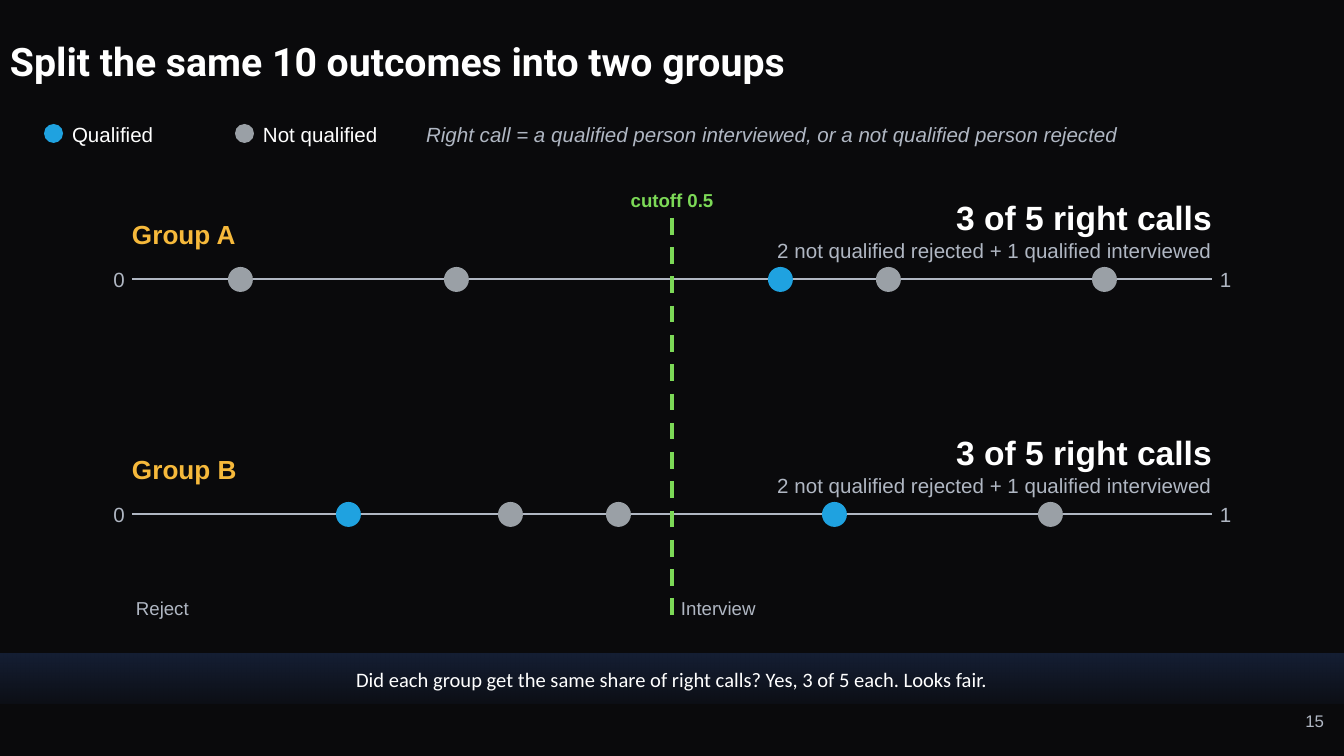
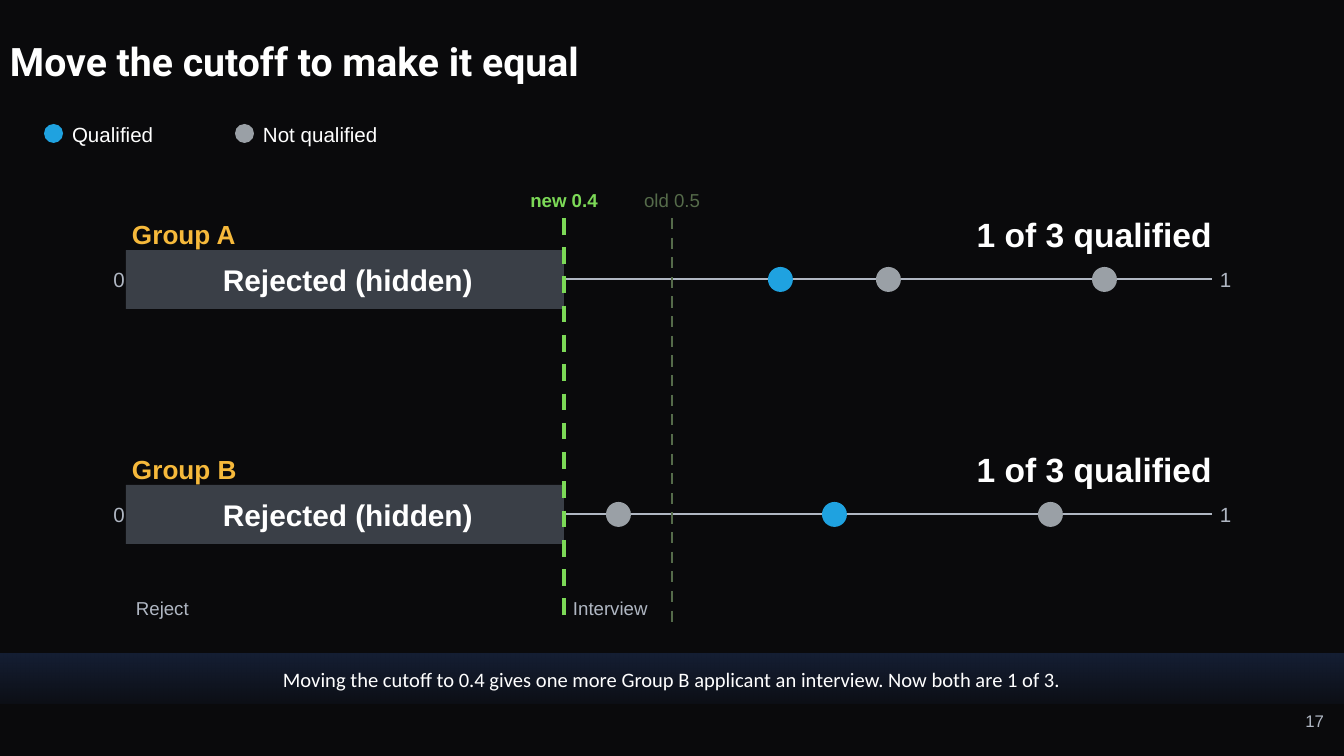
import dataclasses

import pptx
import pptx.dml.color
import pptx.enum.dml
import pptx.enum.shapes
import pptx.enum.text
import pptx.oxml.ns
import pptx.util
from lxml import etree

SLIDE_W, SLIDE_H = 1344, 756
EMU_PER_PX = 9144000 / SLIDE_W

ALIGN = pptx.enum.text.PP_ALIGN
ANCHOR = pptx.enum.text.MSO_ANCHOR
SHAPE = pptx.enum.shapes.MSO_SHAPE


@dataclasses.dataclass(frozen=True)
class Theme:
    background: str = "0A0A0C"
    white: str = "FFFFFF"
    muted: str = "B0B7C3"
    qualified: str = "1FA2E0"
    unqualified: str = "9AA0A6"
    group: str = "F6B93B"
    cutoff: str = "7CD957"
    old_cutoff: str = "556B4A"
    cover: str = "3A3F47"
    band: str = "1A2846"
    title_font: str = "Roboto"
    body_font: str = "Arial"
    band_font: str = "Calibri"
    title_size: int = 21
    score_size: int = 18
    cover_size: int = 16
    group_size: int = 14
    body_size: int = 11
    label_size: int = 10
    page_size: int = 9


THEME = Theme()

AXIS_LEFT, AXIS_LENGTH = 132, 1080
AXIS_RIGHT = AXIS_LEFT + AXIS_LENGTH
CUTOFF_TOP, CUTOFF_BOTTOM = 218, 625
LEGEND_Y = 121

GROUPS = [
    ("Group A", 279, {0.1: False, 0.3: False, 0.6: True, 0.7: False, 0.9: False}),
    ("Group B", 514, {0.2: True, 0.35: False, 0.45: False, 0.65: True, 0.85: False}),
]


def px(length):
    return pptx.util.Emu(round(length * EMU_PER_PX))


def box(*lengths):
    return [px(length) for length in lengths]


def rgb(color):
    return pptx.dml.color.RGBColor.from_string(color)


def axis_x(value):
    return round(AXIS_LEFT + AXIS_LENGTH * value)


def set_values(target, values):
    for name, value in values.items():
        setattr(target, name, value)


def write(holder, words, size, color=THEME.white, font=THEME.body_font,
          align=ALIGN.LEFT, anchor=ANCHOR.MIDDLE, margins=(0, 0), **style):
    frame = holder.text_frame
    side, top = box(*margins)
    set_values(frame, {
        "word_wrap": True, "auto_size": pptx.enum.text.MSO_AUTO_SIZE.NONE,
        "vertical_anchor": anchor, "margin_left": side, "margin_right": side,
        "margin_top": top, "margin_bottom": top,
    })
    paragraph = frame.paragraphs[0]
    paragraph.alignment = align
    run = paragraph.add_run()
    run.text = words
    set_values(run.font, {"name": font, "size": pptx.util.Pt(size), **style})
    run.font.color.rgb = rgb(color)
    return paragraph


def add_label(slide, place, words, size, **style):
    write(slide.shapes.add_textbox(*box(*place)), words, size, **style)


def add_plain_shape(slide, preset, place, color):
    shape = slide.shapes.add_shape(preset, *box(*place))
    shape.shadow.inherit = False
    shape.fill.solid()
    shape.fill.fore_color.rgb = rgb(color)
    shape.line.fill.background()
    return shape


def add_dot(slide, left, top, diameter, qualified):
    color = THEME.qualified if qualified else THEME.unqualified
    add_plain_shape(slide, SHAPE.OVAL, (left, top, diameter, diameter), color)


def add_line(slide, start, end, color, width, dash=None):
    line = slide.shapes.add_connector(
        pptx.enum.shapes.MSO_CONNECTOR.STRAIGHT, *box(*start, *end))
    line.line.color.rgb = rgb(color)
    set_values(line.line, {"width": pptx.util.Pt(width), "dash_style": dash})
    etree.SubElement(line._element.spPr, pptx.oxml.ns.qn("a:effectLst"))


def add_title(slide, words):
    title = slide.shapes.title
    set_values(title, dict(zip(("left", "top", "width", "height"),
                               box(0, 20, 1328, 87))))
    paragraph = write(title, words, THEME.title_size, font=THEME.title_font,
                      margins=(10, 5), bold=True)
    paragraph.line_spacing = 0.9


def add_takeaway(slide, words):
    band = add_plain_shape(slide, SHAPE.RECTANGLE, (0, 654, SLIDE_W, 50), THEME.band)
    band.fill.gradient()
    band.fill.gradient_angle = 270
    for stop, opacity in zip(band.fill.gradient_stops, (70, 15)):
        stop.color.rgb = rgb(THEME.band)
    colors = band._element.spPr.iter(pptx.oxml.ns.qn("a:srgbClr"))
    for color, opacity in zip(colors, (70, 15)):
        alpha = etree.SubElement(color, pptx.oxml.ns.qn("a:alpha"))
        alpha.set("val", str(opacity * 1000))
    write(band, words, THEME.body_size, font=THEME.band_font,
          align=ALIGN.CENTER, margins=(13, 13))


def add_legend(slide):
    for index, (words, qualified) in enumerate(
            [("Qualified", True), ("Not qualified", False)]):
        left = 44 + 191 * index
        add_dot(slide, left, 124, 19, qualified)
        add_label(slide, (left + 28, LEGEND_Y, 146, 27), words, THEME.body_size)


def add_decisions(slide, cutoff):
    for words, left in [("Interview", axis_x(cutoff) + 9), ("Reject", 136)]:
        add_label(slide, (left, 595, 146, 26), words, THEME.label_size,
                  color=THEME.muted)


def add_axis(slide, y, outcomes):
    add_line(slide, (AXIS_LEFT, y), (AXIS_RIGHT, y), THEME.muted, 1.25)
    for words, left, align in [("0", AXIS_LEFT - 29, ALIGN.RIGHT),
                               ("1", AXIS_RIGHT + 8, ALIGN.LEFT)]:
        add_label(slide, (left, y - 13, 22, 27), words, THEME.body_size,
                  color=THEME.muted, align=align)
    for value, qualified in outcomes.items():
        add_dot(slide, axis_x(value) - 12, y - 12, 25, qualified)


def add_cover(slide, y, cutoff):
    right, top, height = axis_x(cutoff), y - 29, 59
    left = AXIS_LEFT - 6
    add_plain_shape(slide, SHAPE.RECTANGLE, (left, top, right - left, height),
                    THEME.cover)
    add_label(slide, (AXIS_LEFT, top, right - AXIS_LEFT, height),
              "Rejected (hidden)", THEME.cover_size, align=ALIGN.CENTER, bold=True)


def add_score(slide, name, y, score, rise):
    add_label(slide, (AXIS_LEFT, y - 61, 220, 32), name, THEME.group_size,
              color=THEME.group, bold=True)
    add_label(slide, (AXIS_RIGHT - 470, y - rise, 470, 38), score,
              THEME.score_size, align=ALIGN.RIGHT, bold=True)


def add_cutoff(slide, value, words, color, width, bold):
    x = axis_x(value)
    add_line(slide, (x, CUTOFF_TOP), (x, CUTOFF_BOTTOM), color, width,
             pptx.enum.dml.MSO_LINE.DASH)
    add_label(slide, (x - 52, 185, 104, 30), words, THEME.label_size,
              color=color, align=ALIGN.CENTER, bold=bold)


def add_page_number(slide, number):
    add_label(slide, (1250, 711, 74, 32), str(number), THEME.page_size,
              color=THEME.muted, align=ALIGN.RIGHT, anchor=ANCHOR.TOP)


def start_slide(deck, title, takeaway, cutoff):
    slide = deck.slides.add_slide(deck.slide_layouts[5])
    add_title(slide, title)
    add_takeaway(slide, takeaway)
    add_legend(slide)
    add_decisions(slide, cutoff)
    return slide


def build_split(deck):
    cutoff = 0.5
    slide = start_slide(
        deck, "Split the same 10 outcomes into two groups",
        "Did each group get the same share of right calls? "
        "Yes, 3 of 5 each. Looks fair.", cutoff)
    add_label(slide, (426, LEGEND_Y, 867, 27),
              "Right call = a qualified person interviewed, "
              "or a not qualified person rejected",
              THEME.body_size, color=THEME.muted, italic=True)
    for name, y, outcomes in GROUPS:
        add_axis(slide, y, outcomes)
        add_score(slide, name, y, "3 of 5 right calls", 81)
        add_label(slide, (AXIS_RIGHT - 617, y - 42, 617, 26),
                  "2 not qualified rejected + 1 qualified interviewed",
                  THEME.body_size, color=THEME.muted, align=ALIGN.RIGHT)
    add_cutoff(slide, cutoff, "cutoff 0.5", THEME.cutoff, 2.25, True)
    add_page_number(slide, 15)


def build_moved_cutoff(deck):
    cutoff = 0.4
    slide = start_slide(
        deck, "Move the cutoff to make it equal",
        "Moving the cutoff to 0.4 gives one more Group B applicant an interview. "
        "Now both are 1 of 3.", cutoff)
    for name, y, outcomes in GROUPS:
        interviewed = {value: qualified for value, qualified in outcomes.items()
                       if value > cutoff}
        add_axis(slide, y, interviewed)
    add_cutoff(slide, 0.5, "old 0.5", THEME.old_cutoff, 1.5, False)
    for name, y, outcomes in GROUPS:
        add_cover(slide, y, cutoff)
        add_score(slide, name, y, "1 of 3 qualified", 64)
    add_cutoff(slide, cutoff, "new 0.4", THEME.cutoff, 2.25, True)
    add_page_number(slide, 17)


def main():
    deck = pptx.Presentation()
    set_values(deck, {"slide_width": px(SLIDE_W), "slide_height": px(SLIDE_H)})
    backdrop = deck.slide_master.background.fill
    backdrop.solid()
    backdrop.fore_color.rgb = rgb(THEME.background)
    build_split(deck)
    build_moved_cutoff(deck)
    deck.save("out.pptx")


if __name__ == "__main__":
    main()
